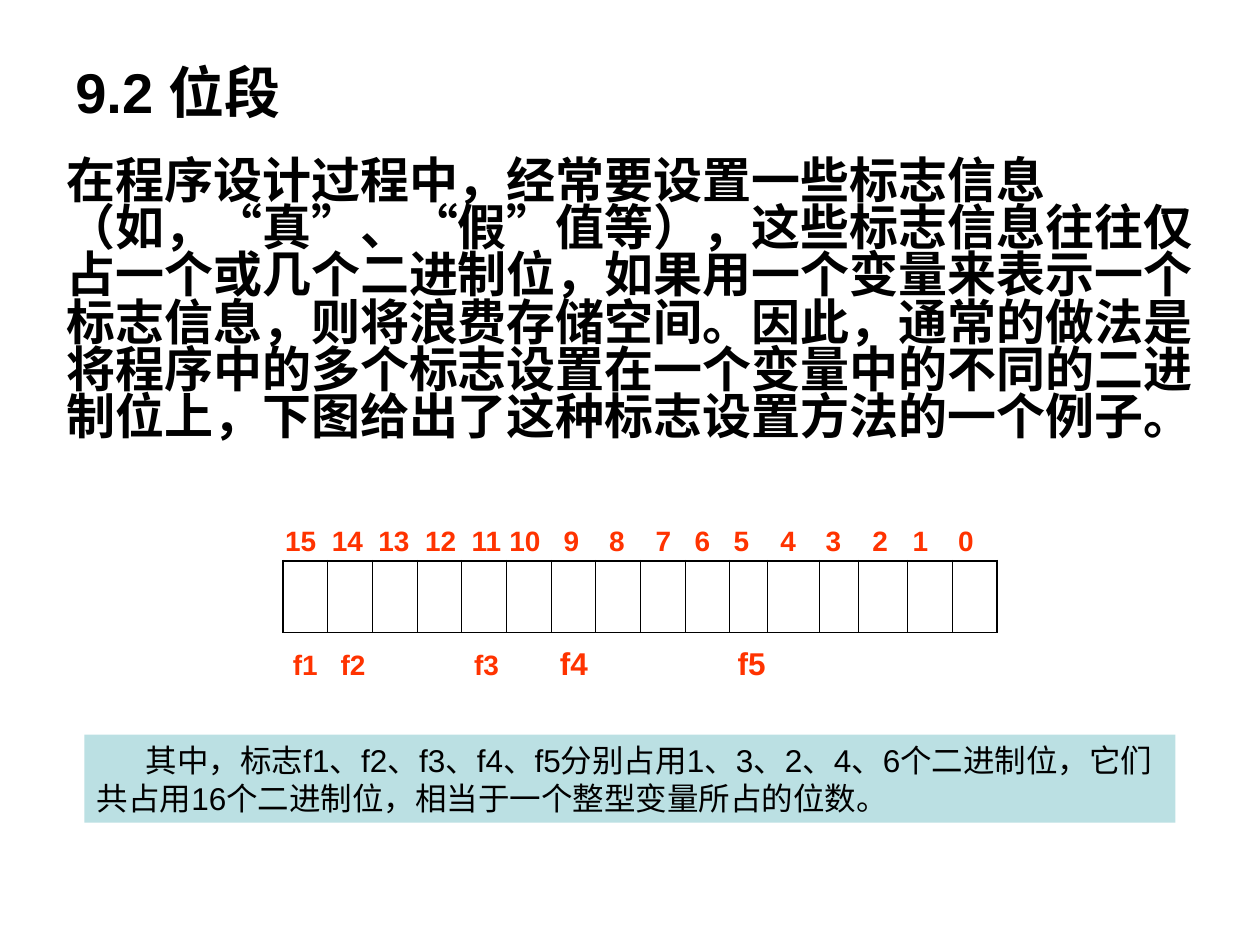
from dataclasses import dataclass

from lxml import etree
from pptx import Presentation
from pptx.dml.color import RGBColor
from pptx.enum import shapes, text
from pptx.oxml import ns
from pptx.util import Emu, Inches, Pt

BLACK = RGBColor(0x00, 0x00, 0x00)
ORANGE = RGBColor(0xFF, 0x33, 0x00)
PALE_BLUE = RGBColor(0xBB, 0xE0, 0xE3)
FONT = "Arial"
WIDTH, HEIGHT = Inches(10), Inches(7.5)
GRID_COLUMNS, GRID_ROWS = 100, 75
BIT_COUNT = 16
OUTER_LINE, INNER_LINE = Pt(1.08), Pt(0.45)
UNEVEN_COLUMNS = {10: 3.0, 11: 4.1, 12: 3.1, 13: 3.9}


@dataclass(frozen=True)
class Area:
    column: float
    row: float
    columns: float
    rows: float

    def box(self) -> tuple[Emu, Emu, Emu, Emu]:
        return (across(self.column), down(self.row),
                across(self.columns), down(self.rows))


@dataclass(frozen=True)
class Piece:
    words: str
    size: float
    color: RGBColor = BLACK
    bold: bool = True
    breaks_after: bool = False


@dataclass(frozen=True)
class Block:
    area: Area
    pieces: tuple[Piece, ...]
    anchor: text.MSO_ANCHOR = text.MSO_ANCHOR.TOP
    line_spacing: float = 1.0
    indent: float = 0
    tabs: tuple[float, ...] = ()
    fill: RGBColor | None = None


def across(columns: float) -> Emu:
    return Emu(round(WIDTH * columns / GRID_COLUMNS))


def down(rows: float) -> Emu:
    return Emu(round(HEIGHT * rows / GRID_ROWS))


def draw_block(slide, block: Block) -> None:
    if block.fill is None:
        shape = slide.shapes.add_textbox(*block.area.box())
    else:
        shape = slide.shapes.add_shape(shapes.MSO_SHAPE.RECTANGLE, *block.area.box())
        shape.shadow.inherit = False
        shape.fill.solid()
        shape.fill.fore_color.rgb = block.fill
        shape.line.fill.background()
    frame = shape.text_frame
    frame.word_wrap = True
    frame.vertical_anchor = block.anchor
    paragraph = frame.paragraphs[0]
    properties = paragraph._p.get_or_add_pPr()
    if block.indent:
        properties.set("indent", str(across(block.indent)))
    if block.tabs:
        tab_list = etree.SubElement(properties, ns.qn("a:tabLst"))
        for position in block.tabs:
            etree.SubElement(tab_list, ns.qn("a:tab"), pos=str(across(position)), algn="l")
    paragraph.alignment = text.PP_ALIGN.LEFT
    paragraph.line_spacing = block.line_spacing
    for piece in block.pieces:
        run = paragraph.add_run()
        run.text = piece.words
        run.font.name = FONT
        run.font.size = Pt(piece.size)
        run.font.bold = piece.bold
        run.font.color.rgb = piece.color
        if piece.breaks_after:
            paragraph.add_line_break()


def draw_border(cell, side: str, width: int) -> None:
    line = etree.Element(ns.qn(f"a:{side}"), w=str(width))
    fill = etree.SubElement(line, ns.qn("a:solidFill"))
    etree.SubElement(fill, ns.qn("a:srgbClr"), val=str(BLACK))
    cell._tc.get_or_add_tcPr().append(line)


def draw_bits(slide, area: Area) -> None:
    table = slide.shapes.add_table(1, BIT_COUNT, *area.box()).table
    table.first_row = False
    table.horz_banding = False
    table.rows[0].height = down(area.rows)
    last = BIT_COUNT - 1
    regular = (area.columns - sum(UNEVEN_COLUMNS.values())) / (BIT_COUNT - len(UNEVEN_COLUMNS))
    for index, column in enumerate(table.columns):
        column.width = across(UNEVEN_COLUMNS.get(index, regular))
        cell = table.cell(0, index)
        draw_border(cell, "lnL", OUTER_LINE if index == 0 else INNER_LINE)
        draw_border(cell, "lnR", OUTER_LINE if index == last else INNER_LINE)
        draw_border(cell, "lnT", OUTER_LINE)
        draw_border(cell, "lnB", OUTER_LINE)
        cell.fill.background()


BLOCKS = (
    Block(Area(5, 3, 90, 8.5), (Piece("9.2 位段", 32),), anchor=text.MSO_ANCHOR.MIDDLE),
    Block(
        Area(4.3, 12.3, 92.1, 23.5),
        (Piece("在程序设计过程中，经常要设置一些标志信息", 28, breaks_after=True),
         Piece(
            "（如，“真”、“假”值等），"
            "这些标志信息往往仅占一个或几个二进制位，如果用一个变量来表示一个标志信息，"
            "则将浪费存储空间。因此，通常的做法是将程序中的多个标志设置在一个变量中的"
            "不同的二进制位上，下图给出了这种标志设置方法的一个例子。", 28)),
        line_spacing=0.8,
    ),
    Block(
        Area(21.65, 41.05, 57.5, 4),
        (Piece("\t".join(str(bit) for bit in reversed(range(BIT_COUNT))), 16, ORANGE),),
        tabs=(3.7, 7.4, 11.1, 14.8, 17.8, 22.1, 25.7, 29.4,
              32.5, 35.6, 39.3, 42.9, 46.6, 49.8, 53.4),
    ),
    Block(
        Area(22.25, 50.6, 56.9, 4),
        (Piece("f1\tf2\tf3", 16, ORANGE), Piece("\tf4\tf5", 18, ORANGE)),
        tabs=(3.8, 14.4, 21.2, 35.3),
    ),
    Block(
        Area(6.7, 58.3, 86.6, 7),
        (Piece(
            "其中，标志f1、f2、f3、f4、f5分别占用1、3、2、4、6个二进制位，"
            "它们共占用16个二进制位，相当于一个整型变量所占的位数。", 18, bold=False),),
        indent=3.9,
        fill=PALE_BLUE,
    ),
)


def main() -> None:
    presentation = Presentation()
    presentation.slide_width, presentation.slide_height = WIDTH, HEIGHT
    slide = presentation.slides.add_slide(presentation.slide_layouts[6])
    draw_bits(slide, Area(22.45, 44.5, 56.7, 5.7))
    for block in BLOCKS:
        draw_block(slide, block)
    presentation.save("out.pptx")


if __name__ == "__main__":
    main()
